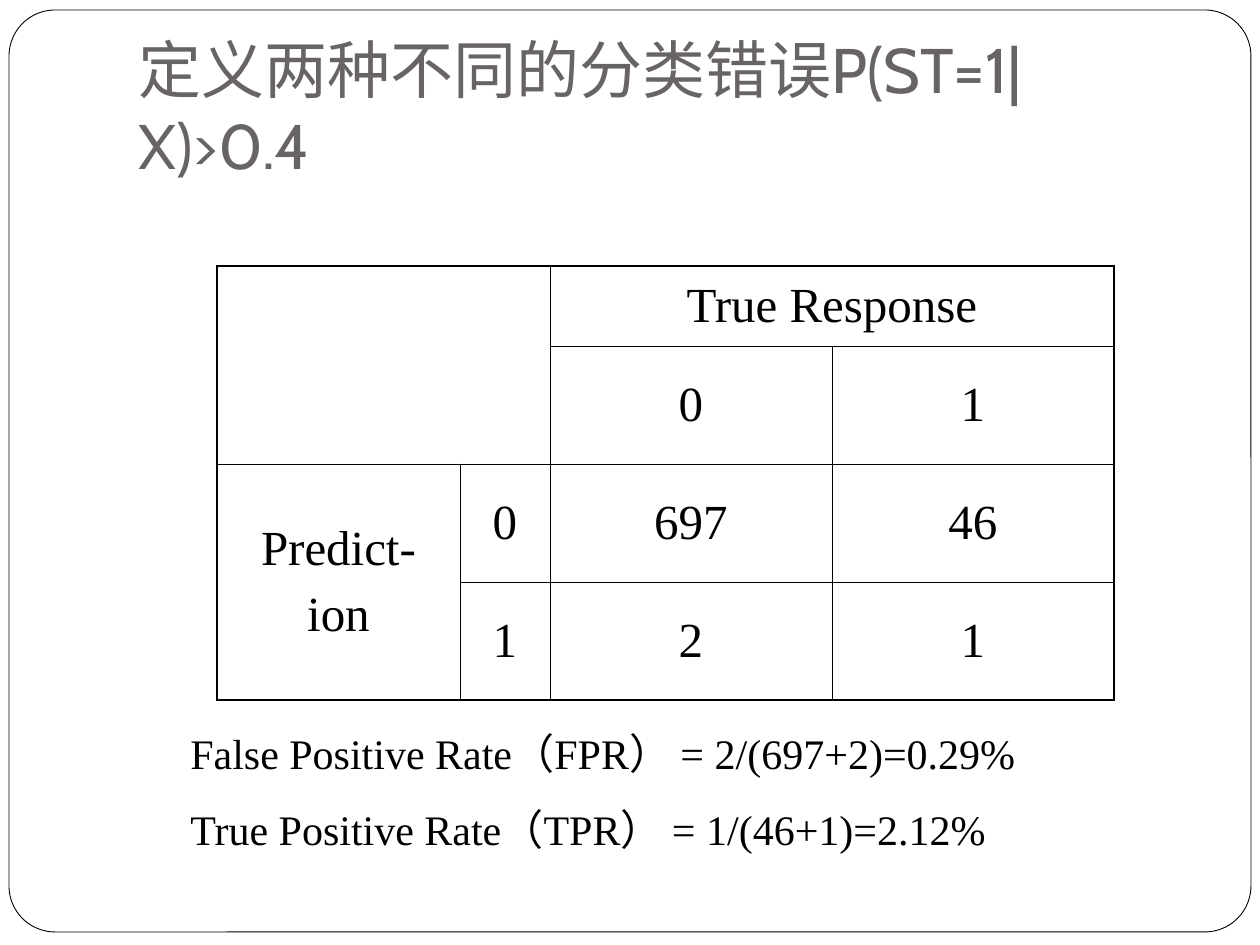
"""Build a slide with a confusion matrix and its false and true positive rates."""
from lxml.etree import SubElement
from pptx import Presentation
from pptx.dml.color import RGBColor
from pptx.enum.shapes import MSO_SHAPE
from pptx.enum.text import MSO_ANCHOR, MSO_AUTO_SIZE, PP_ALIGN
from pptx.oxml import parse_xml
from pptx.oxml.ns import nsdecls
from pptx.util import Emu, Pt

SCALE = 914400 / 126
BLACK = "000000"


def px(*lengths):
    return [Emu(round(length * SCALE)) for length in lengths]


def write(frame, lines, size=28, font="Times New Roman", color=BLACK,
          align=PP_ALIGN.LEFT, before=0):
    frame.text = "\n".join(lines)
    for number, paragraph in enumerate(frame.paragraphs):
        paragraph.alignment = align
        paragraph.space_before = Pt(before if number else 0)
        for run in paragraph.runs:
            run.font.size = Pt(size)
            run.font.name = font
            run.font.color.rgb = RGBColor.from_string(color)


prs = Presentation()
prs.slide_width, prs.slide_height = px(1260, 945)
slide = prs.slides.add_slide(prs.slide_layouts[5])
shapes = slide.shapes

border = shapes.add_shape(MSO_SHAPE.ROUNDED_RECTANGLE, *px(9, 10, 1242, 922))
border.adjustments[0] = 0.05
border.shadow.inherit = False
border.fill.solid()
border.fill.fore_color.rgb = RGBColor.from_string("FFFFFF")
border.line.color.rgb = RGBColor.from_string(BLACK)
border.line.width = Pt(0.5)

title = shapes.title
border._element.addnext(title._element)
title.left, title.top, title.width, title.height = px(126, 38, 1071, 157)
title.text_frame.auto_size = MSO_AUTO_SIZE.NONE
title.text_frame.vertical_anchor = MSO_ANCHOR.BOTTOM
title.text_frame.margin_bottom = px(13)[0]
write(title.text_frame, ["定义两种不同的分类错误P(ST=1|X)>0.4"],
      size=36, font="Cabin", color="696464")

widths = [243, 90, 282, 282]
heights = [80, 118, 118, 118]
matrix = shapes.add_table(4, 4, *px(217, 266, sum(widths), sum(heights))).table
matrix.first_row = matrix.horz_banding = False
for column, width in zip(matrix.columns, px(*widths)):
    column.width = width
for row, height in zip(matrix.rows, px(*heights)):
    row.height = height

for first, last in [((0, 0), (1, 1)), ((0, 2), (0, 3)), ((2, 0), (3, 0))]:
    matrix.cell(*first).merge(matrix.cell(*last))

counts = [
    ["", "", "True Response", ""],
    ["", "", "0", "1"],
    ["Predict-\nion", "0", "697", "46"],
    ["", "1", "2", "1"],
]
for r, values in enumerate(counts):
    for c, value in enumerate(values):
        cell = matrix.cell(r, c)
        cell.vertical_anchor = MSO_ANCHOR.MIDDLE
        cell.fill.background()
        if value:
            write(cell.text_frame, value.split("\n"), align=PP_ALIGN.CENTER, before=7)
        outer = {"lnL": c == 0, "lnR": c + cell.span_width >= 4 or c == 3,
                 "lnT": r == 0, "lnB": r + cell.span_height >= 4 or r == 3}
        properties = cell._tc.get_or_add_tcPr()
        for place, (side, thick) in enumerate(outer.items()):
            edge = parse_xml(f'<a:{side} {nsdecls("a")} w="{Pt(1.08 if thick else 0.45)}">'
                             f'<a:solidFill><a:srgbClr val="{BLACK}"/></a:solidFill></a:{side}>')
            properties.insert(place, edge)

rates = shapes.add_textbox(*px(178, 721, 866, 190)).text_frame
rates.word_wrap = True
rates.auto_size = MSO_AUTO_SIZE.SHAPE_TO_FIT_TEXT
write(rates, ["False Positive Rate（FPR） = 2/(697+2)=0.29%",
              "True Positive Rate（TPR） = 1/(46+1)=2.12%"], size=24, before=15)

prs.save("out.pptx")
